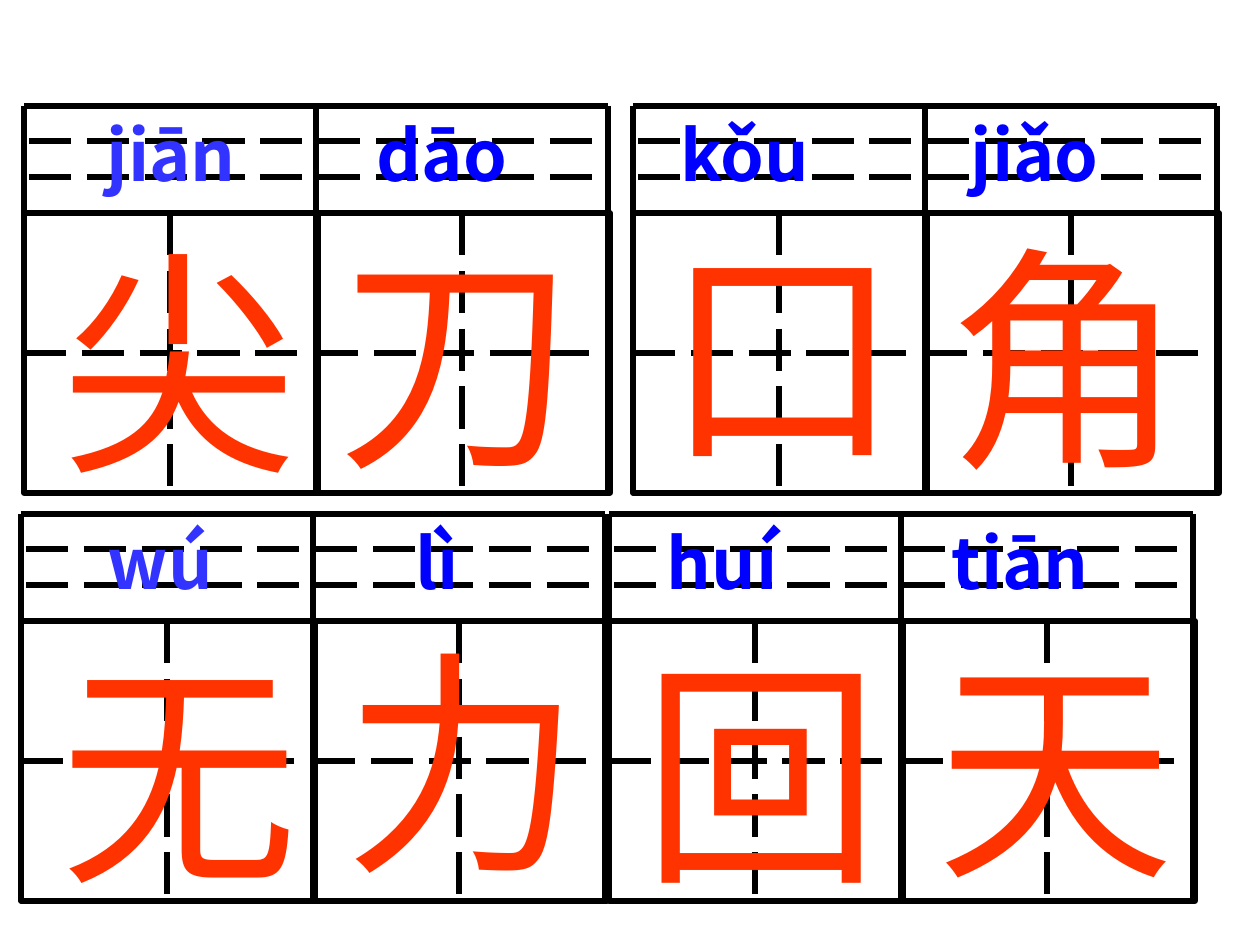
from lxml.etree import SubElement
from pptx import Presentation
from pptx.dml.color import RGBColor as Rgb
from pptx.enum.dml import MSO_LINE as Dash
from pptx.enum.shapes import MSO_CONNECTOR as Conn, MSO_SHAPE as Kind
from pptx.oxml.ns import qn
from pptx.util import Pt

SCALE = 914400 / 126
BLACK, RED, PALE, BLUE = "000000", "FF3300", "3333FF", "0000FF"
CELL, HEAD, SIDE, TALL = 292, 107, 294, 280


def emu(px):
    return round(px * SCALE)


def tint(code):
    return Rgb.from_string(code)


class Pen:
    """Draws on the current slide in one style, with lengths in px."""

    def __init__(self, slide):
        self.slide = slide

    def line(self, group, x1, y1, x2, y2, dash=False):
        item = group.shapes.add_connector(Conn.STRAIGHT, *map(emu, (x1, y1, x2, y2)))
        SubElement(item._element.spPr, qn("a:effectLst"))
        self.ink(item, dash)

    def ink(self, item, dash=False):
        item.line.color.rgb = tint(BLACK)
        item.line.width = Pt(3)
        if dash:
            item.line.dash_style = Dash.LONG_DASH

    def box(self, group, x, y):
        item = group.shapes.add_shape(Kind.RECTANGLE, *map(emu, (x, y, SIDE, TALL)))
        item.shadow.inherit = False
        item.fill.background()
        self.ink(item)

    def grid(self, x, y):
        """Two writing cells, each with a pinyin strip on top."""
        group = self.slide.shapes.add_group_shape()
        end, top = x + 2 * CELL, y + HEAD
        for left in (x, x + CELL):
            self.box(group, left, top)
            self.line(group, left + 146, top, left + 146, top + TALL, True)
            self.line(group, left, top + 140, left + 287, top + 140, True)
        self.line(group, x, y, end, y)
        for gap in (35, 71):
            self.line(group, x + 5, y + gap, end, y + gap, True)
        for edge in (x, x + CELL, end):
            self.line(group, edge, y, edge, top + TALL)

    def text(self, x, y, w, h):
        frame = self.slide.shapes.add_textbox(*map(emu, (x, y, w, h))).text_frame
        frame.word_wrap = True
        return frame.paragraphs[0]

    def run(self, para, words, size, face, color, bold=False):
        run = para.add_run()
        run.text = words
        font = run.font
        font.size, font.bold, font.name = Pt(size), bold, face
        font.color.rgb = tint(color)
        SubElement(run._r.rPr, qn("a:ea"), typeface=face)

    def glyph(self, sign, x, y):
        self.run(self.text(x, y, 287, 299), sign, 136, "Arial", RED)

    def pinyin(self, x, y, words, stops):
        """One line of syllables, each at its own tab stop."""
        para = self.text(x, y, 1255, 97)
        tabs = SubElement(para._p.get_or_add_pPr(), qn("a:tabLst"))
        for stop in stops:
            SubElement(tabs, qn("a:tab"), pos=str(emu(stop - x - 12.6)), algn="l")
        for word, color in zip(words, (PALE, BLUE, BLUE, BLUE)):
            self.run(para, "\t" + word, 40, "Noto Sans CJK SC", color, True)


ROWS = [
    dict(top=106, grids=(24, 633), start=15,
         signs=[("尖", 48, 210), ("刀", 325, 205), ("口", 651, 199), ("角", 935, 205)],
         words=("jiān", "dāo", "kǒu", "jiǎo"), stops=(107, 377, 681, 971)),
    dict(top=514, grids=(21, 609), start=-16,
         signs=[("无", 48, 620), ("力", 331, 609), ("回", 630, 620), ("天", 924, 615)],
         words=("wú", "lì", "huí", "tiān"), stops=(108, 416, 667, 952)),
]


def main():
    deck = Presentation()
    deck.slide_width, deck.slide_height = emu(1260), emu(945)
    pen = Pen(deck.slides.add_slide(deck.slide_layouts[6]))
    for row in ROWS:
        for left in row["grids"]:
            pen.grid(left, row["top"])
        for sign in row["signs"]:
            pen.glyph(*sign)
        pen.pinyin(row["start"], row["top"] - 1, row["words"], row["stops"])
    deck.save("out.pptx")


if __name__ == "__main__":
    main()
